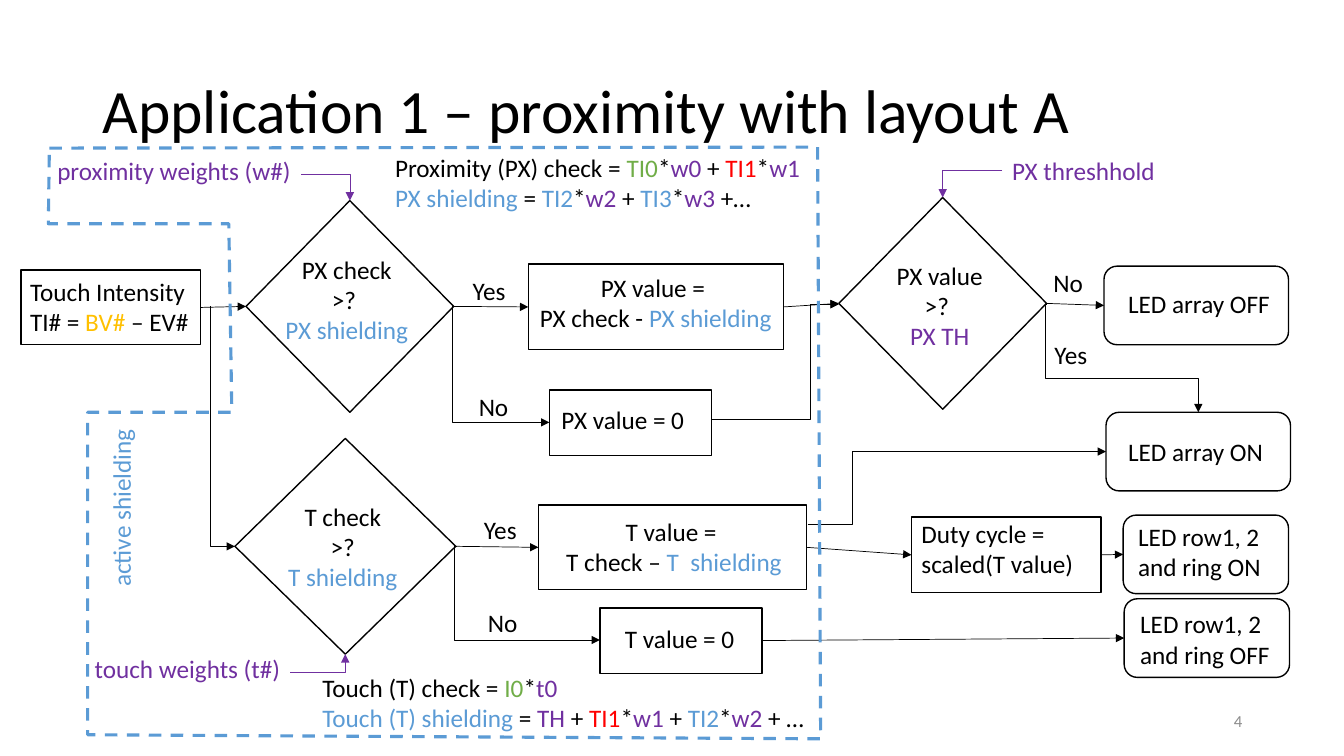
from pptx import Presentation
from pptx import util as u
from pptx.dml.color import RGBColor
from pptx.enum import dml, shapes, text
from pptx.oxml import ns
from lxml import etree

BLACK, BLUE, PURPLE = "000000", "5B9BD5", "7030A0"
GREEN, RED, GOLD, GREY = "70AD47", "FF0000", "FFC000", "8C8C8C"
TOP, LEFT, BOTTOM, RIGHT = range(4)
CENTER = text.PP_ALIGN.CENTER

SHAPES = {
    "touch": ("RECTANGLE", 0.21, 2.68, 1.78, 0.74),
    "px check": ("DIAMOND", 2.44, 1.99, 2.06, 2.1),
    "px value": ("RECTANGLE", 5.24, 2.62, 2.53, 0.85),
    "px zero": ("RECTANGLE", 5.45, 3.87, 1.61, 0.65),
    "t check": ("DIAMOND", 2.33, 4.35, 2.19, 2.14),
    "t value": ("RECTANGLE", 5.34, 5.01, 2.66, 0.84),
    "t zero": ("RECTANGLE", 5.95, 6.03, 1.61, 0.65),
    "px threshold": ("DIAMOND", 8.32, 1.96, 2.06, 2.1),
    "array off": ("ROUNDED_RECTANGLE", 10.95, 2.64, 1.83, 0.78),
    "array on": ("ROUNDED_RECTANGLE", 10.97, 4.09, 1.83, 0.78),
    "duty": ("RECTANGLE", 9.04, 5.13, 1.88, 0.75),
    "row on": ("ROUNDED_RECTANGLE", 11.14, 5.11, 1.64, 0.78),
    "row off": ("ROUNDED_RECTANGLE", 11.15, 5.94, 1.64, 0.78),
}

FLOWS = [
    ("touch", "px check"), ("px check", "px value"), ("px value", "px threshold"),
    ("px threshold", "array off"), ("t check", "t value"), ("t value", "duty"),
    ("duty", "row on"), ("t zero", "row off"),
]

BENDS = [
    ((4.49, 3.04), (5.45, 4.19), 0, True),
    ((2.09, 3.04), (2.33, 5.42), -0.01, True),
    ((4.53, 5.42), (5.95, 6.35), -0.02, True),
    ((7.06, 4.16), (8.32, 3.02), 0.78, True),
    ((8.01, 5.2), (10.97, 4.48), 0.15, True),
    ((10.38, 3.02), (11.21, 3.75), -0.01, False),
]

CORNERS = [
    ((2.88, 6.67), (3.43, 6.49), "t check", BOTTOM, PURPLE),
    ((2.99, 1.73), (3.45, 1.99), "px check", TOP, PURPLE),
    ((9.94, 1.69), (9.35, 1.96), "px threshold", TOP, PURPLE),
    ((11.19, 3.75), (11.89, 4.09), "array on", TOP, BLACK),
]

CENTERED = [
    ((2.7, 2.47, 1.48, 1.01), [["PX check"], [">? "], [("PX shielding", BLUE)]]),
    ((5.14, 2.65, 2.73, 0.71), [["PX value = "], ["PX check - ", ("PX shielding", BLUE)]]),
    ((2.58, 4.92, 1.64, 1.01), [["T check"], [" >? "], [("T shielding", BLUE)]]),
    ((5.47, 5.07, 2.43, 0.71), [["T value = "], ["T check – ", ("T  shielding", BLUE)]]),
    ((8.58, 2.53, 1.48, 1.01), [["PX value"], [">? "], [("PX TH", PURPLE)]]),
]

LABELS = [
    ((0.2, 2.69, 1.89, 0.71), [["Touch Intensity"], ["TI# = ", ("BV#", GOLD), " – EV#"]]),
    ((0.84, 6.43, 3.2, 0.4), [[("touch weights (t#)", PURPLE)]]),
    ((0.47, 1.49, 3.2, 0.4), [[("proximity weights (w#)", PURPLE)]]),
    ((9.94, 1.49, 3.2, 0.4), [[("PX threshhold", PURPLE)]]),
    ((3.82, 1.46, 4.32, 0.71), [
        ["Proximity (PX) check = ", ("TI0", GREEN), "*", ("w0 ", PURPLE), "+ ",
         ("TI1", RED), "*", ("w1", PURPLE)],
        [("PX shielding ", BLUE), "= ", ("TI2", BLUE), "*", ("w2 ", PURPLE), "+ ",
         ("TI3", BLUE), "*", ("w3 ", PURPLE), "+…"]]),
    ((3.1, 6.62, 6.77, 0.71), [
        ["Touch (T) check = ", ("I0", GREEN), "*", ("t0", PURPLE)],
        [("Touch (T) shielding ", BLUE), "= ", ("TH", PURPLE), " + ", ("TI1", RED), "*",
         ("w1 ", PURPLE), "+ ", ("TI2", BLUE), "*", ("w2 ", PURPLE), "+ …"]]),
    ((5.47, 3.96, 1.59, 0.4), [["PX value = 0"]]),
    ((6.1, 6.13, 1.59, 0.4), [["T value = 0"]]),
    ((11.09, 4.28, 1.8, 0.4), [["LED array ON"]]),
    ((11.09, 2.81, 1.8, 0.4), [["LED array OFF"]]),
    ((9.04, 5.09, 2.05, 0.71), [["Duty cycle = scaled(T value)"]]),
    ((11.19, 5.12, 1.8, 0.71), [["LED row1, 2 and ring ON"]]),
    ((11.21, 5.99, 1.8, 0.71), [["LED row1, 2 and ring OFF"]]),
]

ANSWERS = [
    ("Yes", 4.59, 2.68), ("No", 4.65, 3.83), ("Yes", 4.7, 5.05),
    ("No", 4.74, 5.98), ("No", 10.35, 2.6), ("Yes", 10.36, 3.32),
]

SHIELD = [(0.49, 1.47), (8.11, 1.46), (8.14, 7.33), (0.87, 7.29),
          (0.87, 4.09), (2.3, 4.09), (2.27, 2.22), (0.48, 2.22)]


def inches(values):
    return [u.Inches(v) for v in values]


def paint(color_format, color):
    color_format.rgb = RGBColor.from_string(color)


def apply(obj, values):
    for name, value in values.items():
        setattr(obj, name, value)


def add_text(s, box, paragraphs, size=18, frame=None, para=None):
    sp = s.shapes.add_textbox(*inches(box))
    tf = sp.text_frame
    apply(tf, {"word_wrap": True, **(frame or {})})
    for i, runs in enumerate(paragraphs):
        p = tf.paragraphs[0] if i == 0 else tf.add_paragraph()
        apply(p, para or {})
        for run in runs:
            words, color = (run, BLACK) if isinstance(run, str) else run
            r = p.add_run()
            r.text = words
            apply(r.font, {"name": "Calibri", "size": u.Pt(size)})
            paint(r.font.color, color)
    return sp


def outline(sp, color, width):
    sp.shadow.inherit = False
    sp.fill.background()
    paint(sp.line.color, color)
    sp.line.width = u.Pt(width)


def add_node(s, kind, *box):
    sp = s.shapes.add_shape(getattr(shapes.MSO_SHAPE, kind), *inches(box))
    outline(sp, BLACK, 1)
    return sp


def add_arrow(s, kind, start, end, color=BLACK, head=True):
    c = s.shapes.add_connector(kind, *inches(start + end))
    paint(c.line.color, color)
    c.line.width = u.Pt(0.5)
    if head:
        etree.SubElement(c.line._get_or_add_ln(), ns.qn("a:tailEnd"), type="triangle")
    etree.SubElement(c._element.spPr, ns.qn("a:effectLst"))
    return c


def add_flow(s, source, target):
    c = add_arrow(s, shapes.MSO_CONNECTOR.STRAIGHT, (0, 0), (1, 1))
    c.begin_connect(source, RIGHT)
    c.end_connect(target, LEFT)


def add_bend(s, start, end, bend, head):
    c = add_arrow(s, shapes.MSO_CONNECTOR.ELBOW, start, end, head=head)
    guides = c._element.spPr.find(ns.qn("a:prstGeom")).get_or_add_avLst()
    etree.SubElement(guides, ns.qn("a:gd"), name="adj1", fmla=f"val {round(bend * 100000)}")


def add_corner(s, start, end, target, side, color):
    c = add_arrow(s, shapes.MSO_CONNECTOR.ELBOW, start, end, color)
    c._element.spPr.find(ns.qn("a:prstGeom")).set("prst", "bentConnector2")
    c.end_connect(target, side)


def add_shield(s):
    points = [inches(point) for point in SHIELD]
    builder = s.shapes.build_freeform(*points[0])
    builder.add_line_segments(points[1:], close=True)
    sp = builder.convert_to_shape()
    outline(sp, BLUE, 2.25)
    sp.line.dash_style = dml.MSO_LINE.DASH


def main():
    prs = Presentation()
    apply(prs, {"slide_width": u.Inches(13.33), "slide_height": u.Inches(7.5)})
    s = prs.slides.add_slide(prs.slide_layouts[6])
    middle = {"vertical_anchor": text.MSO_ANCHOR.MIDDLE}
    add_text(s, (0.92, 0.4, 11.5, 1.45), [["Application 1 – proximity with layout A"]],
             44, middle, {"line_spacing": 0.9})
    add_text(s, (9.42, 6.95, 3, 0.4), [[("4", GREY)]], 12, middle,
             {"alignment": text.PP_ALIGN.RIGHT})
    nodes = {name: add_node(s, *node) for name, node in SHAPES.items()}
    for source, target in FLOWS:
        add_flow(s, nodes[source], nodes[target])
    for bend in BENDS:
        add_bend(s, *bend)
    for start, end, target, side, color in CORNERS:
        add_corner(s, start, end, nodes[target], side, color)
    for box, paragraphs in CENTERED:
        add_text(s, box, paragraphs, para={"alignment": CENTER})
    for box, paragraphs in LABELS:
        add_text(s, box, paragraphs)
    for answer, left, top in ANSWERS:
        add_text(s, (left, top, 0.58, 0.4), [[answer]])
    add_shield(s)
    sp = add_text(s, (1, 4.24, 0.5, 1.68), [[("active shielding", BLUE)]],
                  frame={"word_wrap": False})
    sp.text_frame._txBody.bodyPr.set("vert", "vert270")
    prs.save("out.pptx")


if __name__ == "__main__":
    main()
